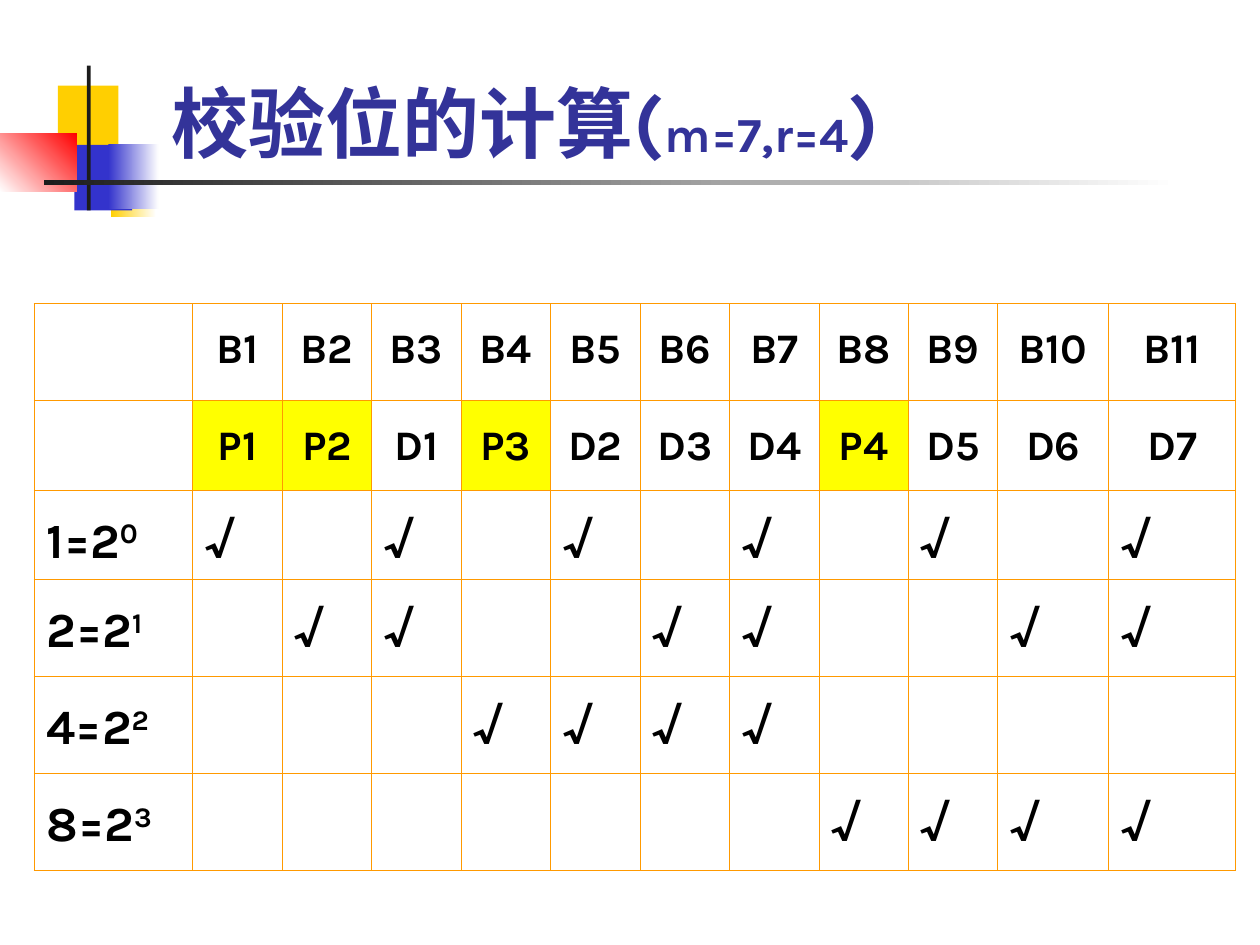
from lxml import etree
from pptx import Presentation
from pptx.dml.color import RGBColor
from pptx.enum.shapes import MSO_SHAPE
from pptx.enum.text import MSO_ANCHOR, MSO_AUTO_SIZE, PP_ALIGN
from pptx.oxml.ns import qn
from pptx.util import Inches, Pt

RECT = MSO_SHAPE.RECTANGLE
BOTTOM = MSO_ANCHOR.BOTTOM
NO_FIT = MSO_AUTO_SIZE.NONE
LEFT, CENTER = PP_ALIGN.LEFT, PP_ALIGN.CENTER

FONT = "Karla"
BLACK, NAVY, YELLOW, ORANGE = "000000", "333399", "FFFF00", "FF9900"
GOLD, BLUE, RED, INK, WHITE = "FFCF01", "3333CC", "FF0000", "1C1C1C", "FFFFFF"

DECORATIONS = [
    ((0.46, 0.68, 0.48, 0.52), [GOLD], 0),
    ((0.88, 1.2, 0.36, 0.52), [GOLD, WHITE], 0),
    ((0.59, 1.15, 0.46, 0.52), [BLUE], 0),
    ((0.86, 1.14, 0.4, 0.52), [BLUE, WHITE], 0),
    ((0, 1.06, 0.61, 0.46), [WHITE, RED], 45),
    ((0.69, 0.52, 0.03, 1.15), [INK], 0),
    ((0.35, 1.43, 9, 0.04), [INK, WHITE], 0),
]
COL_WIDTHS = [1.26] + [0.71] * 9 + [0.88, 1.01]
ROW_HEIGHTS = [0.77, 0.71, 0.71, 0.77, 0.77, 0.77]
BITS = range(1, 12)
ROLES = ["P1", "P2", "D1", "P3", "D2", "D3", "D4", "P4", "D5", "D6", "D7"]


def rgb(color):
    """Turn a hex string into a colour."""
    return RGBColor.from_string(color)


def add_run(p, text, size, color=BLACK, raised=False):
    """Add a bold run, raised as an exponent on request."""
    r = p.add_run()
    r.text = text
    formats = {"name": FONT, "size": Pt(size), "bold": True}
    for name, value in formats.items():
        setattr(r.font, name, value)
    r.font.color.rgb = rgb(color)
    if raised:
        r.font._element.set("baseline", "30000")


def add_block(s, box, colors, angle):
    """Add a borderless rectangle with a solid or gradient fill."""
    sp = s.shapes.add_shape(RECT, *map(Inches, box))
    sp.shadow.inherit = False
    sp.line.fill.background()
    if len(colors) == 1:
        sp.fill.solid()
        sp.fill.fore_color.rgb = rgb(colors[0])
        return
    sp.fill.gradient()
    sp.fill.gradient_angle = angle
    for stop, color in zip(sp.fill.gradient_stops, colors):
        stop.color.rgb = rgb(color)


def add_title(s):
    """Place and fill the title."""
    sp = s.shapes.title
    box = dict(zip(("left", "top", "width", "height"), (1.26, 0.13, 8.52, 1.25)))
    for name, value in box.items():
        setattr(sp, name, Inches(value))
    tf = sp.text_frame
    formats = {"vertical_anchor": BOTTOM, "auto_size": NO_FIT, "word_wrap": True}
    for name, value in formats.items():
        setattr(tf, name, value)
    p = tf.paragraphs[0]
    p.alignment = LEFT
    for text, size in (("校验位的计算(", 44), ("m=7,r=4", 28), (")", 44)):
        add_run(p, text, size, NAVY)


def set_borders(cell):
    """Draw thin orange lines on all four sides of a cell."""
    tc_pr = cell._tc.get_or_add_tcPr()
    for side in ("lnL", "lnR", "lnT", "lnB"):
        ln = etree.SubElement(tc_pr, qn(f"a:{side}"), w=str(Pt(0.45)))
        fill = etree.SubElement(ln, qn("a:solidFill"))
        etree.SubElement(fill, qn("a:srgbClr"), val=ORANGE)


def fill_cell(cell, runs, size, align, space, color=None):
    """Format a cell and write its runs of text and raised flag."""
    set_borders(cell)
    if color:
        cell.fill.solid()
        cell.fill.fore_color.rgb = rgb(color)
    else:
        cell.fill.background()
    p = cell.text_frame.paragraphs[0]
    formats = {"alignment": align, "line_spacing": 1.3, "space_before": Pt(space)}
    for name, value in formats.items():
        setattr(p, name, value)
    for text, raised in runs:
        add_run(p, text, size, raised=raised)


def add_check_table(s):
    """Add the table that marks the bits each parity bit covers."""
    frame = s.shapes.add_table(len(ROW_HEIGHTS), len(COL_WIDTHS), Inches(0.27),
                               Inches(2.41), Inches(9.53), Inches(4.5))
    table = frame.table
    table.first_row = table.horz_banding = False
    for col, width in zip(table.columns, COL_WIDTHS):
        col.width = Inches(width)
    for row, height in zip(table.rows, ROW_HEIGHTS):
        row.height = Inches(height)
    for i, labels in enumerate(([f"B{bit}" for bit in BITS], ROLES)):
        fill_cell(table.cell(i, 0), [], 24, CENTER, 6)
        for bit, label in zip(BITS, labels):
            color = YELLOW if label.startswith("P") else None
            fill_cell(table.cell(i, bit), [(label, False)], 24, CENTER, 6, color)
    for power in range(4):
        weight, i = 2 ** power, power + 2
        label = [(f"{weight}=2", False), (str(power), True)]
        fill_cell(table.cell(i, 0), label, 28, LEFT, 7)
        for bit in BITS:
            runs = [("√", False)] if bit & weight else []
            fill_cell(table.cell(i, bit), runs, 28, LEFT, 7)


def main():
    """Build and save the slide."""
    prs = Presentation()
    prs.slide_width, prs.slide_height = Inches(10), Inches(7.5)
    s = prs.slides.add_slide(prs.slide_layouts[5])
    for box, colors, angle in DECORATIONS:
        add_block(s, box, colors, angle)
    add_title(s)
    add_check_table(s)
    prs.save("out.pptx")


main()
